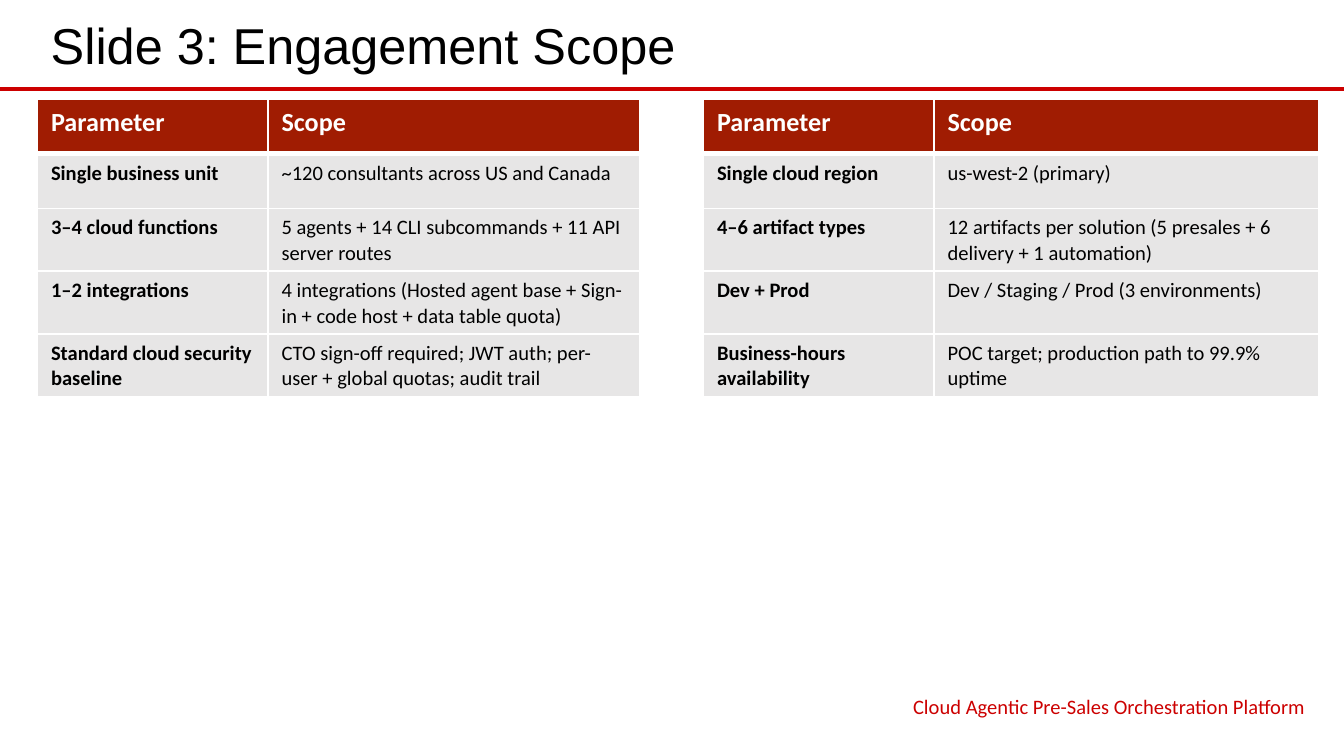
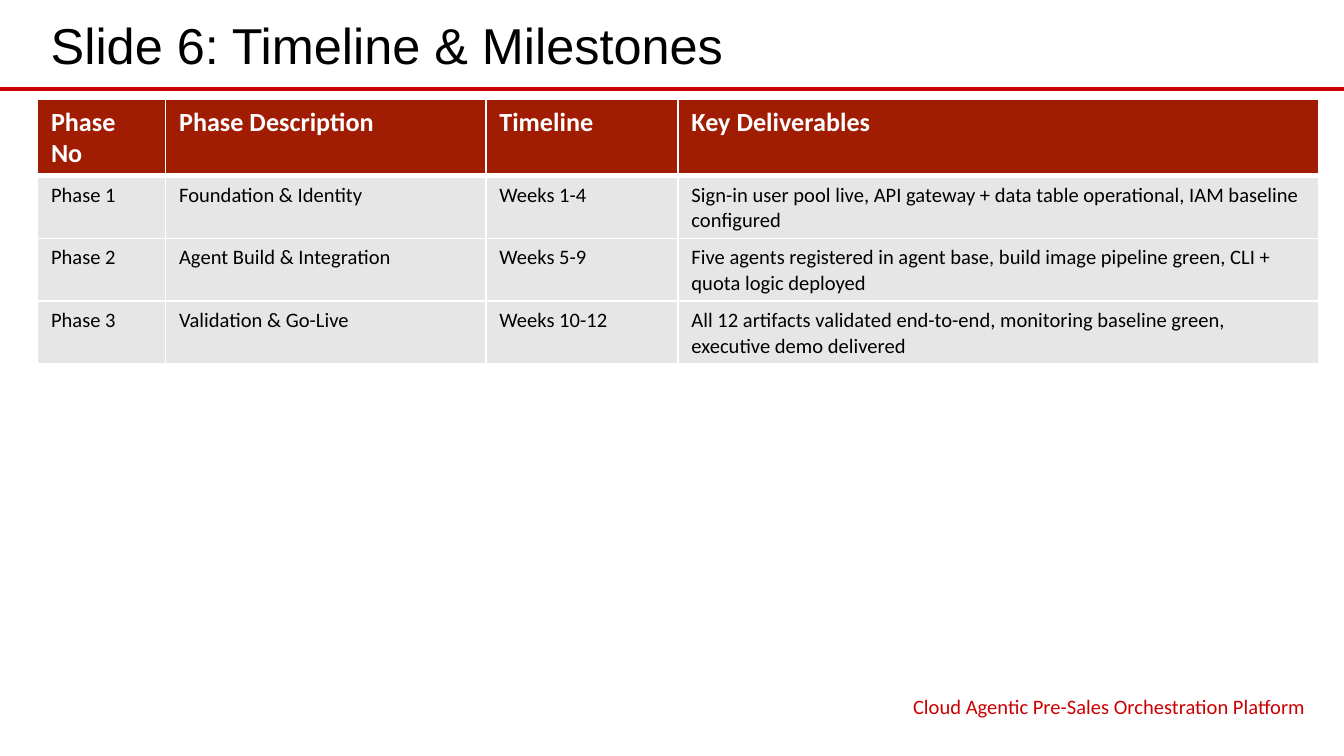
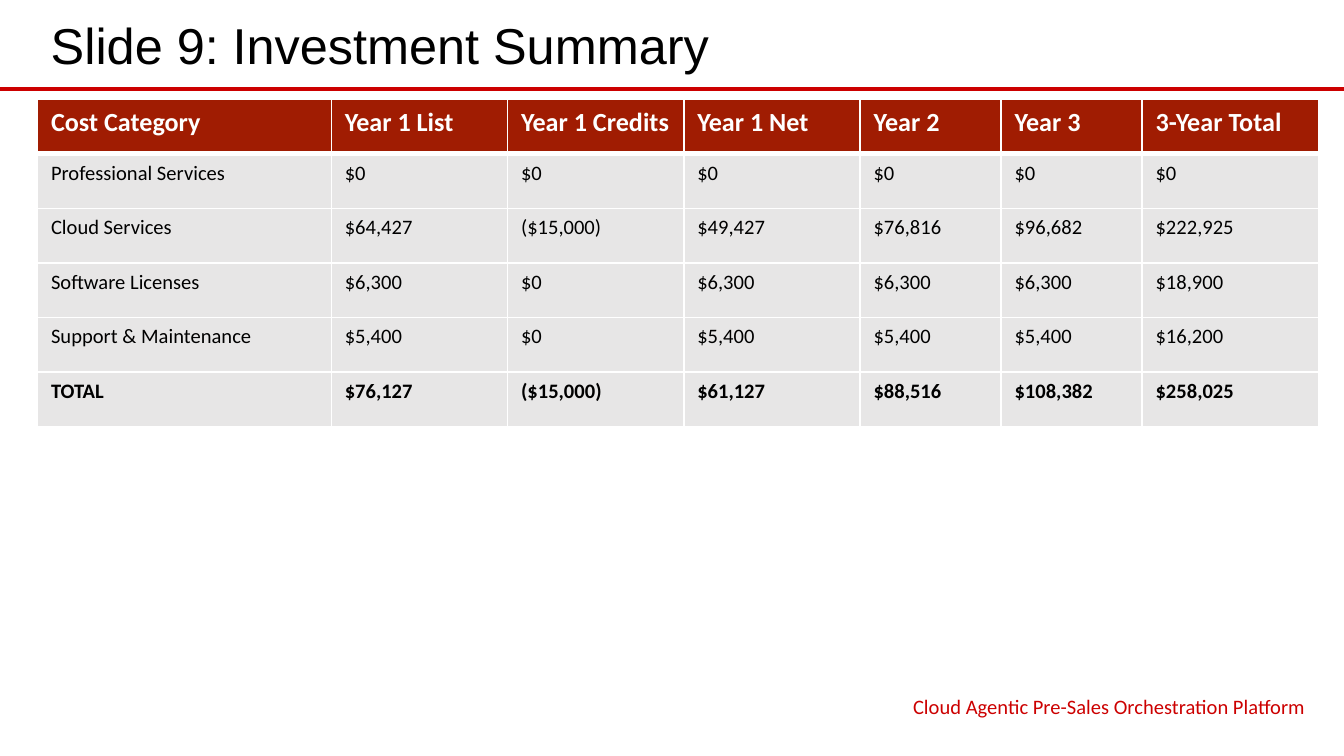
from lxml.etree import SubElement
from pptx import Presentation
from pptx.dml.color import RGBColor
from pptx.enum.shapes import MSO_CONNECTOR
from pptx.enum.text import MSO_ANCHOR, PP_ALIGN
from pptx.oxml.ns import qn
from pptx.util import Cm, Pt

RED = RGBColor(0xCC, 0x00, 0x00)
BRICK = RGBColor(0xA0, 0x1C, 0x02)
GREY = RGBColor(0xE7, 0xE6, 0xE6)
WHITE = RGBColor(0xFF, 0xFF, 0xFF)
BLACK = RGBColor(0x00, 0x00, 0x00)

WIDE, HIGH = Cm(25.4), Cm(14.29)
LEFT, SPAN = Cm(0.71), Cm(24.21)
ROW = Cm(1.03)
FOOTER = "Cloud Agentic Pre-Sales Orchestration Platform"

SCOPE = [
    ["Parameter", "Scope", "", "Parameter", "Scope"],
    ["Single business unit", "~120 consultants across US and Canada", "",
     "Single cloud region", "us-west-2 (primary)"],
    ["3–4 cloud functions",
     "5 agents + 14 CLI subcommands + 11 API server routes", "",
     "4–6 artifact types",
     "12 artifacts per solution (5 presales + 6 delivery + 1 automation)"],
    ["1–2 integrations",
     "4 integrations (Hosted agent base + Sign-in + code host + data table quota)",
     "", "Dev + Prod", "Dev / Staging / Prod (3 environments)"],
    ["Standard cloud security baseline",
     "CTO sign-off required; JWT auth; per-user + global quotas; audit trail", "",
     "Business-hours availability",
     "POC target; production path to 99.9% uptime"],
]
PHASES = [
    ["Phase No", "Phase Description", "Timeline", "Key Deliverables"],
    ["Phase 1", "Foundation & Identity", "Weeks 1-4",
     "Sign-in user pool live, API gateway + data table operational, "
     "IAM baseline configured"],
    ["Phase 2", "Agent Build & Integration", "Weeks 5-9",
     "Five agents registered in agent base, build image pipeline green, "
     "CLI + quota logic deployed"],
    ["Phase 3", "Validation & Go-Live", "Weeks 10-12",
     "All 12 artifacts validated end-to-end, monitoring baseline green, "
     "executive demo delivered"],
]
COSTS = [
    ["Cost Category", "Year 1 List", "Year 1 Credits", "Year 1 Net",
     "Year 2", "Year 3", "3-Year Total"],
    ["Professional Services"] + ["$0"] * 6,
    ["Cloud Services", "$64,427", "($15,000)", "$49,427", "$76,816",
     "$96,682", "$222,925"],
    ["Software Licenses", "$6,300", "$0", "$6,300", "$6,300", "$6,300", "$18,900"],
    ["Support & Maintenance", "$5,400", "$0", "$5,400", "$5,400", "$5,400",
     "$16,200"],
    ["TOTAL", "$76,127", "($15,000)", "$61,127", "$88,516", "$108,382",
     "$258,025"],
]


def put_text(frame, text, size=11, color=BLACK, font="Calibri", bold=False,
             align=PP_ALIGN.LEFT):
    frame.word_wrap = True
    para = frame.paragraphs[0]
    para.alignment = align
    run = para.add_run()
    run.text = text
    run.font.name = font
    run.font.size = Pt(size)
    run.font.bold = bold
    run.font.color.rgb = color


def add_box(slide, text, left, top, width, height, anchor=MSO_ANCHOR.TOP, **style):
    frame = slide.shapes.add_textbox(left, top, width, height).text_frame
    frame.vertical_anchor = anchor
    put_text(frame, text, **style)


def add_rule(slide):
    rule = slide.shapes.add_connector(
        MSO_CONNECTOR.STRAIGHT, 0, Cm(1.68), WIDE, Cm(1.68))
    rule.line.color.rgb = RED
    rule.line.width = Pt(2.25)
    SubElement(rule._element.spPr, qn("a:effectLst"))


def set_edges(cell, top, base):
    props = cell._tc.get_or_add_tcPr()
    for side, width in zip("LRTB", (1, 1, top, base)):
        edge = SubElement(props, qn(f"a:ln{side}"), w=str(Pt(width)))
        fill = SubElement(edge, qn("a:solidFill"))
        SubElement(fill, qn("a:srgbClr"), val=str(WHITE))


def add_grid(slide, rows, shares, is_bold):
    grid = slide.shapes.add_table(
        len(rows), len(shares), LEFT, Cm(1.88), SPAN, ROW * len(rows)).table
    grid.first_row = grid.horz_banding = False
    for col, share in zip(grid.columns, shares):
        col.width = int(SPAN * share / sum(shares))
    for r, row in enumerate(rows):
        grid.rows[r].height = ROW
        head = r == 0
        for c, text in enumerate(row):
            cell = grid.cell(r, c)
            set_edges(cell, 3 if r == 1 else 1, 3 if head else 1)
            cell.fill.solid()
            cell.fill.fore_color.rgb = (
                WHITE if not text else BRICK if head else GREY)
            if text:
                put_text(cell.text_frame, text, size=14 if head else 11,
                         color=WHITE if head else BLACK,
                         bold=head or is_bold(r, c))


def add_page(deck, title, rows, shares, is_bold):
    slide = deck.slides.add_slide(deck.slide_layouts[6])
    add_rule(slide)
    add_box(slide, title, LEFT, Cm(0.1), SPAN, Cm(1.47),
            anchor=MSO_ANCHOR.MIDDLE, size=27, font="Arial")
    add_grid(slide, rows, shares, is_bold)
    add_box(slide, FOOTER, Cm(15.98), Cm(13), Cm(8.94), Cm(0.66),
            color=RED, align=PP_ALIGN.RIGHT)


def main():
    deck = Presentation()
    deck.slide_width, deck.slide_height = WIDE, HIGH
    add_page(deck, "Slide 3: Engagement Scope", SCOPE,
             (18, 29, 5, 18, 30), lambda r, c: c in (0, 3))
    add_page(deck, "Slide 6: Timeline & Milestones", PHASES,
             (10, 25, 15, 50), lambda r, c: False)
    add_page(deck, "Slide 9: Investment Summary", COSTS,
             (25, 15, 15, 15, 12, 12, 15), lambda r, c: r == len(COSTS) - 1)
    deck.save("out.pptx")


if __name__ == "__main__":
    main()
